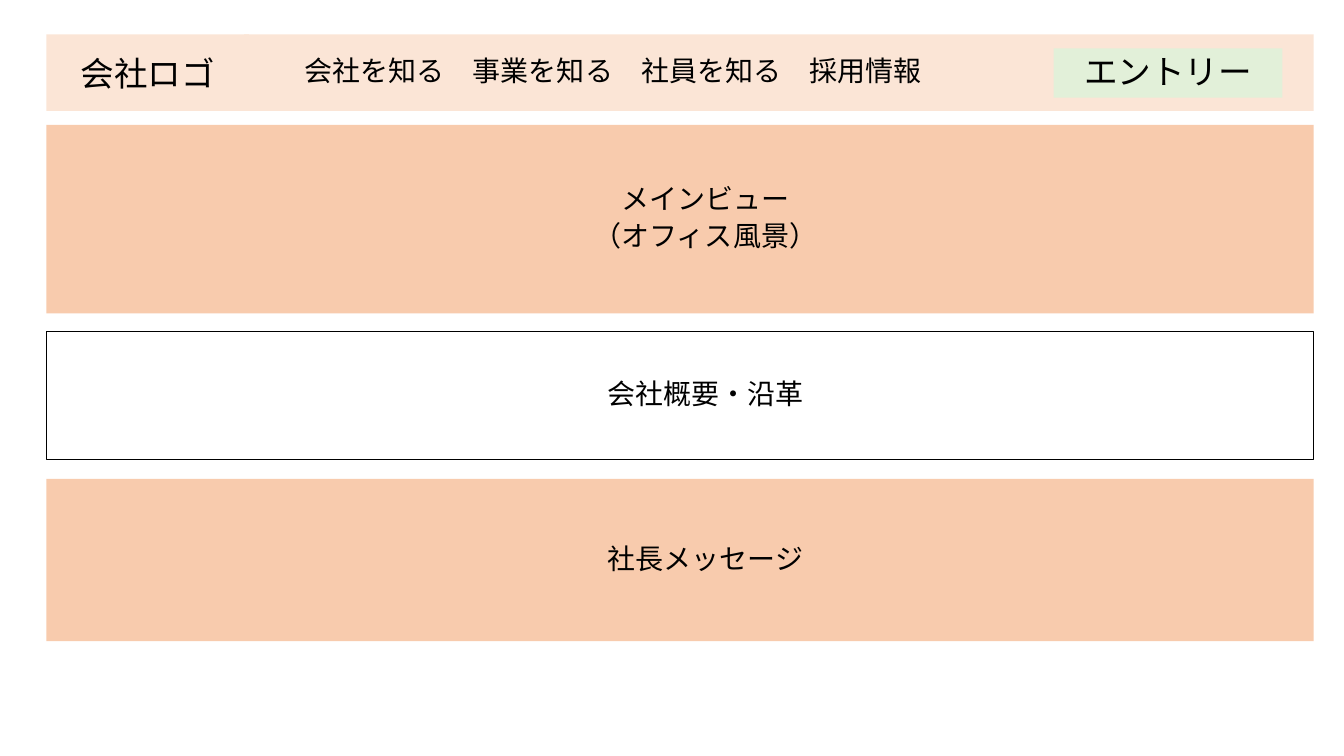
from dataclasses import dataclass

from lxml.etree import SubElement
from pptx import Presentation
from pptx.dml.color import RGBColor
from pptx.enum.shapes import MSO_SHAPE
from pptx.enum.text import MSO_ANCHOR, MSO_AUTO_SIZE, PP_ALIGN
from pptx.oxml.ns import qn
from pptx.util import Inches, Pt


@dataclass(frozen=True)
class Theme:
    """Colours, font and type sizes of the wireframe."""

    header: RGBColor = RGBColor(0xFB, 0xE5, 0xD6)
    button: RGBColor = RGBColor(0xE2, 0xF0, 0xD9)
    section: RGBColor = RGBColor(0xF8, 0xCB, 0xAD)
    plain: RGBColor = RGBColor(0xFF, 0xFF, 0xFF)
    ink: RGBColor = RGBColor(0, 0, 0)
    font: str = "Noto Sans CJK JP"
    large: Pt = Pt(24)
    body: Pt = Pt(20)
    outline: Pt = Pt(0.75)


THEME = Theme()
PAGE_LEFT, PAGE_WIDTH = 0.46, 12.57
HEADER_TOP, HEADER_HEIGHT = 0.34, 0.76
MENU = ("会社を知る", "事業を知る", "社員を知る", "採用情報")
SECTIONS = (
    (1.24, 1.87, THEME.section, ("メインビュー", "（オフィス風景）")),
    (3.29, 1.27, THEME.plain, ("会社概要・沿革",)),
    (4.75, 1.61, THEME.section, ("社長メッセージ",)),
)


def place(block, left, top, width, height, fill):
    """Position a block and give it a solid fill."""
    block.left, block.top = Inches(left), Inches(top)
    block.width, block.height = Inches(width), Inches(height)
    block.fill.solid()
    block.fill.fore_color.rgb = fill


def write(block, lines, size, align=PP_ALIGN.CENTER, indent=0, before=10, spacing=0.9):
    """Write vertically centred lines into a block."""
    frame = block.text_frame
    frame.text = "\n".join(lines)
    frame.word_wrap = True
    frame.auto_size = MSO_AUTO_SIZE.NONE
    frame.vertical_anchor = MSO_ANCHOR.MIDDLE
    frame.margin_left = Inches(0.1 + indent)
    for paragraph in frame.paragraphs:
        paragraph.alignment = align
        paragraph.space_before = Pt(before)
        paragraph.line_spacing = spacing
        font = paragraph.font
        font.name, font.size = THEME.font, size
        font.color.rgb = THEME.ink
        SubElement(font._element, qn("a:ea"), typeface=THEME.font)


def add_block(slide, left, top, width, height, fill):
    """Add a flat rectangle without outline."""
    block = slide.shapes.add_shape(MSO_SHAPE.RECTANGLE, 0, 0, 0, 0)
    block.shadow.inherit = False
    block.line.fill.background()
    place(block, left, top, width, height, fill)
    return block


def add_header(slide):
    """Build the header with logo, menu and entry button."""
    logo, menu = slide.shapes.title, slide.placeholders[1]
    place(logo, PAGE_LEFT, HEADER_TOP, 2.01, HEADER_HEIGHT, THEME.header)
    write(logo, ("会社ロゴ",), THEME.large, spacing=1.0)
    place(menu, 2.42, HEADER_TOP, 10.61, HEADER_HEIGHT, THEME.header)
    write(menu, ("\u3000".join(MENU),), THEME.body, PP_ALIGN.LEFT, 0.5, 5)
    entry = add_block(slide, 10.45, 0.48, 2.27, 0.49, THEME.button)
    write(entry, ("エントリー",), THEME.large)


def add_section(slide, top, height, fill, lines):
    """Add a full-width page section, outlined when it is plain."""
    section = add_block(slide, PAGE_LEFT, top, PAGE_WIDTH, height, fill)
    if fill == THEME.plain:
        section.line.color.rgb = THEME.ink
        section.line.width = THEME.outline
    write(section, lines, THEME.body, indent=0.5, before=5)


def main():
    """Build and save the recruiting page wireframe."""
    deck = Presentation()
    deck.slide_width, deck.slide_height = Inches(13.33), Inches(7.5)
    slide = deck.slides.add_slide(deck.slide_layouts[0])
    add_header(slide)
    for section in SECTIONS:
        add_section(slide, *section)
    deck.save("out.pptx")


main()
